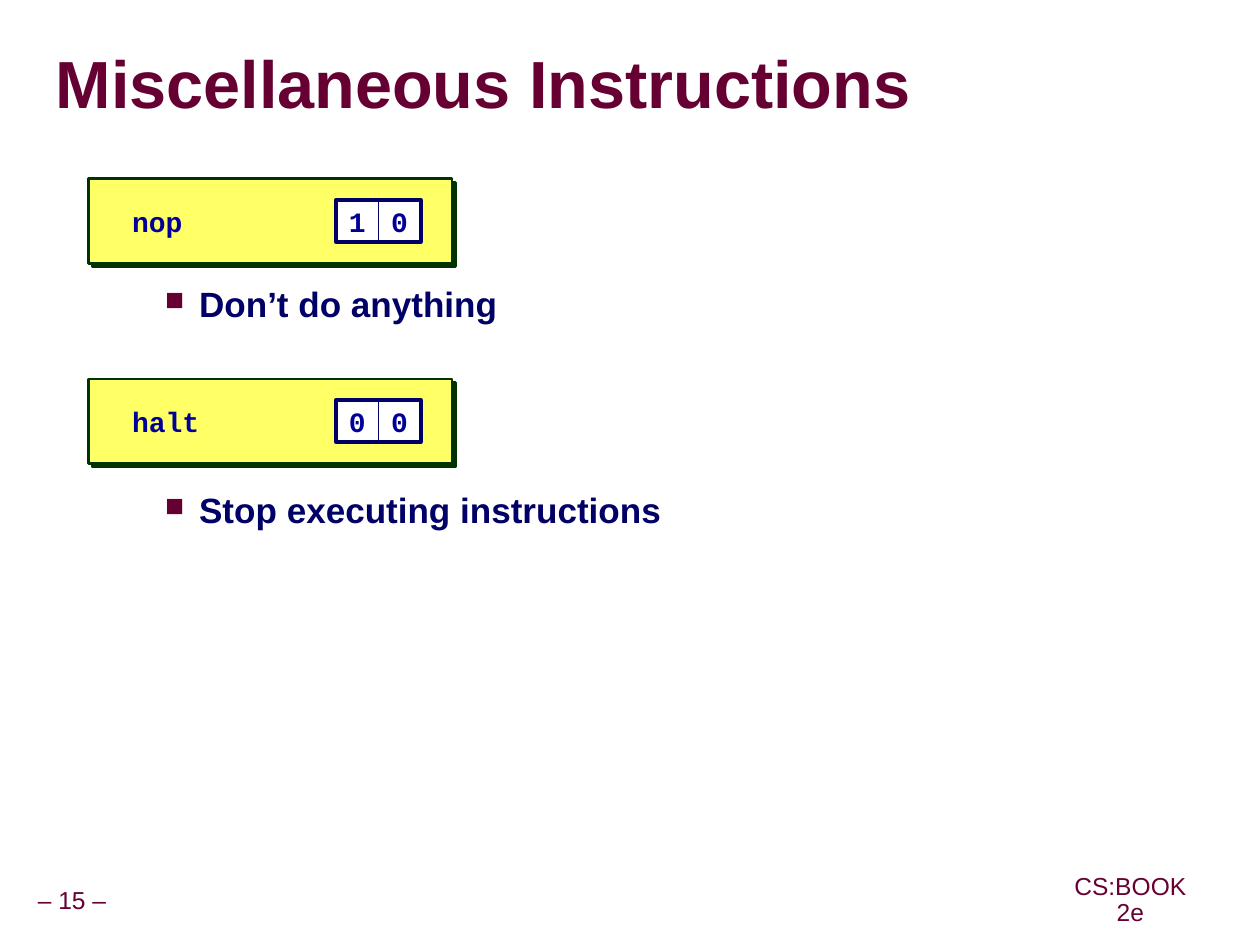
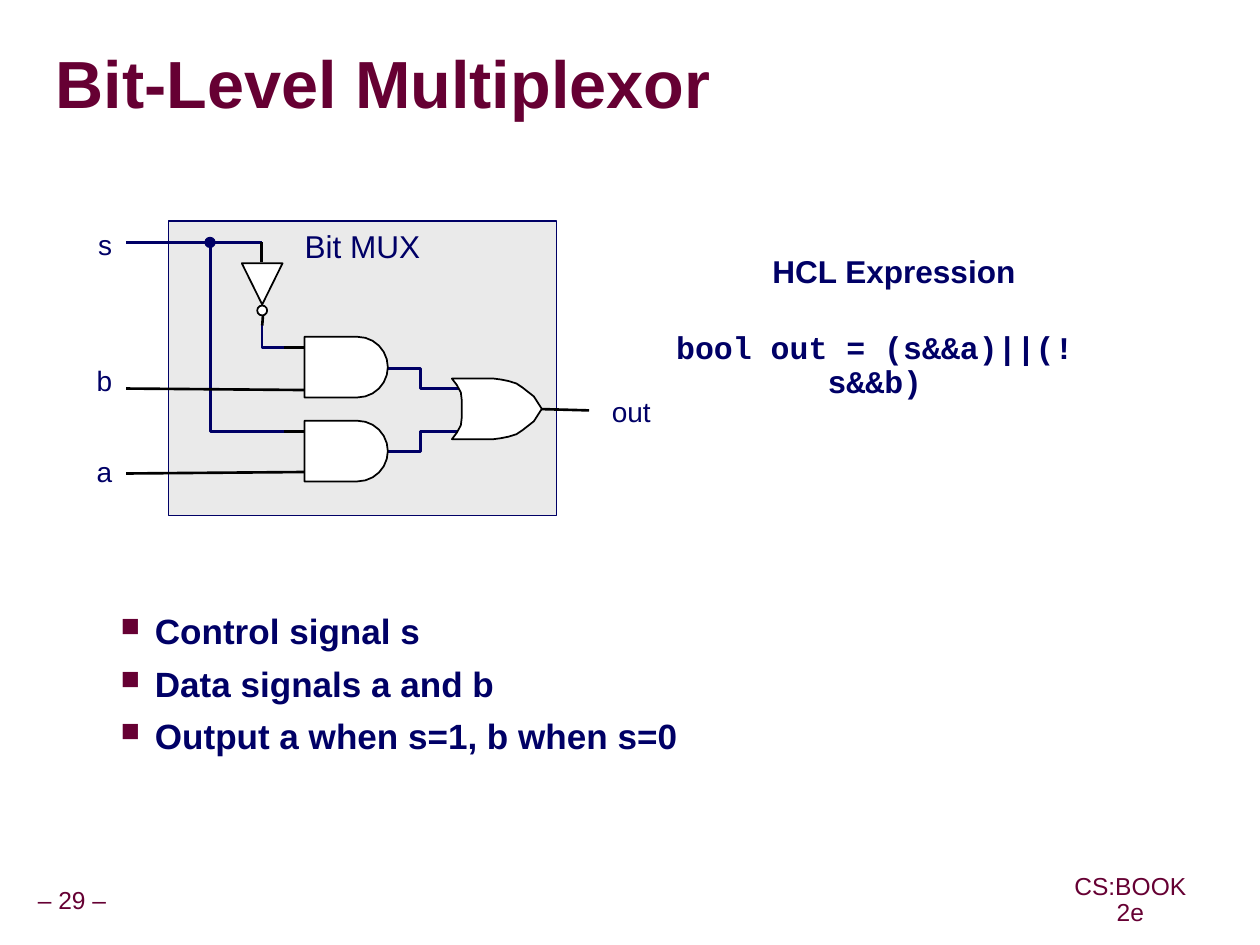
"""Build two lecture slides: miscellaneous instructions and a bit-level multiplexor."""
import math

import pptx
import pptx.dml.color
import pptx.enum.shapes
import pptx.enum.text
import pptx.oxml
import pptx.oxml.ns
import pptx.util

Cm, Pt = pptx.util.Cm, pptx.util.Pt
SHAPE = pptx.enum.shapes.MSO_SHAPE
ALIGN = pptx.enum.text.PP_ALIGN
ANCHOR = pptx.enum.text.MSO_ANCHOR

MAROON, NAVY, CODE_BLUE = "660033", "000066", "000099"
GREEN, YELLOW, GREY = "003300", "FFFF66", "EAEAEA"
BLACK, WHITE = "000000", "FFFFFF"
SANS, MONO = "Arial", "Courier New"

FOOTER = "CS:BOOK2e"
INSTRUCTIONS = {
    "title": "Miscellaneous Instructions", "page": 15,
    "body_at": (1.7, 5.57, 21.4, 4.2),
    "bullets": [("Don’t do anything", 0), ("Stop executing instructions", 93.5)],
    "codes": [("nop", "10"), ("halt", "00")],
}
MUX = {
    "title": "Bit-Level Multiplexor", "page": 29,
    "body_at": (0.81, 12.14, 23, 5),
    "bullets": [("Control signal s", 0), ("Data signals a and b", 6),
                ("Output a when s=1, b when s=0", 6)],
    "signals": [("s", 1.7, 4.45), ("b", 1.7, 7.19), ("a", 1.7, 9.02), ("out", 12.07, 7.82)],
    "hcl": [("HCL Expression", SANS, (15.42, 5.03, 5.16, 0.94)),
            ("bool out = (s&&a)||(!s&&b)", MONO, (13.44, 6.55, 8.35, 1.6))],
}
WIRES = {
    NAVY: [
        [(7.82, 7.42), (8.47, 7.42), (8.47, 7.82), (9.32, 7.82)],
        [(7.82, 9.09), (8.47, 9.09), (8.47, 8.69), (9.32, 8.69)],
        [(5.72, 8.69), (4.24, 8.69), (4.24, 4.88)],
        [(5.72, 6.99), (5.28, 6.99), (5.28, 6.55)],
        [(2.54, 4.88), (5.28, 4.88)],
    ],
    BLACK: [
        [(10.77, 8.23), (11.86, 8.26)],
        [(5.31, 6.15), (5.28, 6.55)],
        [(5.26, 4.88), (5.26, 5.28)],
        [(5.72, 6.99), (6.12, 6.99)],
        [(2.54, 7.82), (6.12, 7.85)],
        [(5.72, 8.69), (6.12, 8.69)],
        [(2.54, 9.53), (6.12, 9.5)],
    ],
}
AND_GATES = [(6.13, 7.39), (6.13, 9.08)]
OR_GATE = (9.1, 8.23)
GATE_RADIUS, AND_FLAT = 0.61, 1.07
OR_FRONT = [(0, -0.61), (0.84, -0.61), (0.99, -0.59), (1.14, -0.56),
            (1.3, -0.51), (1.42, -0.43), (1.65, -0.25), (1.81, 0)]
OR_BACK = [(0.1, 0.48), (0.18, 0.33), (0.2, 0.17), (0.2, 0)]


def rgb(code):
    return pptx.dml.color.RGBColor.from_string(code)


def xml(parent, markup):
    head, tail = markup.split(" ", 1) if " " in markup.split(">")[0] else (markup[:-2], "/>")
    space = pptx.oxml.ns.nsdecls("a")
    parent.append(pptx.oxml.parse_xml(f"{head} {space} {tail}"))


def shadow(parent, color, distance):
    xml(parent, f'<a:effectLst ><a:outerShdw dist="{Pt(distance)}" dir="2700000" algn="ctr" '
                f'rotWithShape="0"><a:srgbClr val="{color}"/></a:outerShdw></a:effectLst>')


def paint(shape, fill=None, line=None, width=1):
    shape.shadow.inherit = False
    if fill:
        shape.fill.solid()
        shape.fill.fore_color.rgb = rgb(fill)
    else:
        shape.fill.background()
    if line:
        shape.line.color.rgb = rgb(line)
        shape.line.width = Pt(width)
    else:
        shape.line.fill.background()
    return shape


def block(slide, kind, at, fill=None, line=None, width=1):
    return paint(slide.shapes.add_shape(kind, *map(Cm, at)), fill, line, width)


def write(paragraph, text, size, color, font=SANS, bold=False):
    run = paragraph.add_run()
    run.text = text
    run.font.size, run.font.name, run.font.bold = Pt(size), font, bold
    run.font.color.rgb = rgb(color)
    return run


def setup(shape, align=ALIGN.LEFT, anchor=ANCHOR.TOP, wrap=False, inset=None, spacing=None):
    frame = shape.text_frame
    frame.word_wrap, frame.vertical_anchor = wrap, anchor
    if inset is not None:
        frame.margin_left = frame.margin_right = Cm(inset)
        frame.margin_top = frame.margin_bottom = Cm(inset)
    paragraph = frame.paragraphs[0]
    paragraph.alignment = align
    if spacing:
        paragraph.line_spacing = spacing
    return paragraph


def label(slide, at, **layout):
    return setup(slide.shapes.add_textbox(*map(Cm, at)), **layout)


def start_slide(deck, content):
    slide = deck.slides.add_slide(deck.slide_layouts[6])
    for text, at in ((f"– {content['page']} –", (0.61, 17.75, 1.68, 0.79)),
                     (FOOTER, (21.44, 17.73, 2.64, 0.79))):
        footer = label(slide, at, align=ALIGN.CENTER, anchor=ANCHOR.MIDDLE,
                       inset=0.13, spacing=0.9)
        write(footer, text, 14, MAROON)
    heading = label(slide, (1.12, 0.69, 24.18, 2.16), anchor=ANCHOR.MIDDLE,
                    wrap=True, inset=0, spacing=0.87)
    title = write(heading, content["title"], 38, MAROON, bold=True)
    properties = title.font._element
    shadow(properties, "969696", 3)
    properties.insert(1, properties[-1])

    first = label(slide, content["body_at"], wrap=True)
    body = slide.shapes[-1].text_frame
    for number, (text, gap) in enumerate(content["bullets"]):
        item = body.add_paragraph() if number else first
        item.space_before = Pt(gap)
        layout = item._p.get_or_add_pPr()
        layout.set("marL", str(Cm(2.06)))
        layout.set("indent", str(Cm(-0.69)))
        xml(layout, f'<a:buClr ><a:srgbClr val="{MAROON}"/></a:buClr>')
        xml(layout, '<a:buSzPct val="75000"/>')
        xml(layout, '<a:buChar char="■"/>')
        write(item, text, 20, NAVY, bold=True)
    return slide


def draw_instruction(slide, top, name, digits):
    band = block(slide, SHAPE.RECTANGLE, (1.78, top, 7.32, 1.7), YELLOW, GREEN, 1.5)
    properties = band._element.spPr
    properties.remove(properties[-1])
    shadow(properties, GREEN, 2.8)
    side, left, cell_top = 0.85, 6.77, top + 0.42
    mnemonic = label(slide, (2.41, cell_top, 5.28, side), anchor=ANCHOR.MIDDLE)
    write(mnemonic, name, 16, CODE_BLUE, MONO, True)
    for column, digit in enumerate(digits):
        cell = block(slide, SHAPE.RECTANGLE, (left + column * side, cell_top, side, side),
                     WHITE, NAVY, 0.5)
        write(setup(cell, ALIGN.CENTER, ANCHOR.MIDDLE), digit, 16, CODE_BLUE, MONO, True)
    block(slide, SHAPE.RECTANGLE, (left, cell_top, side * len(digits), side), None, NAVY, 2.25)


def outline(slide, points, closed):
    (x, y), *rest = [(Cm(x), Cm(y)) for x, y in points]
    builder = slide.shapes.build_freeform(x, y)
    builder.add_line_segments(rest, close=closed)
    return builder.convert_to_shape()


def draw_wire(slide, points, color):
    if len(points) > 2:
        paint(outline(slide, points, False), None, color, 1.5)
        return
    ends = [Cm(value) for point in points for value in point]
    wire = slide.shapes.add_connector(pptx.enum.shapes.MSO_CONNECTOR.STRAIGHT, *ends)
    wire.line.color.rgb, wire.line.width = rgb(color), Pt(1.5)
    xml(wire._element.spPr, "<a:effectLst/>")


def draw_gate(slide, origin, profile):
    left, middle = origin
    points = [(left + x, middle + y) for x, y in profile]
    paint(outline(slide, points, True), WHITE, BLACK, 1)


def mirrored(half):
    return half + [(x, -y) for x, y in half[-2::-1]]


deck = pptx.Presentation()
deck.slide_width, deck.slide_height = Cm(25.37), Cm(19.02)

instructions = start_slide(deck, INSTRUCTIONS)
for row, (name, digits) in enumerate(INSTRUCTIONS["codes"]):
    draw_instruction(instructions, 3.6 + row * 4.03, name, digits)

mux = start_slide(deck, MUX)
chip = block(mux, SHAPE.RECTANGLE, (3.39, 4.45, 7.82, 5.93), GREY, NAVY, 0.75)
write(setup(chip, ALIGN.CENTER), "Bit MUX", 18, NAVY)
for color, wires in WIRES.items():
    for points in wires:
        draw_wire(mux, points, color)
and_profile = [(0, -GATE_RADIUS)]
for step in range(13):
    angle = math.pi * (step / 12 - 0.5)
    and_profile.append((AND_FLAT + GATE_RADIUS * math.cos(angle), GATE_RADIUS * math.sin(angle)))
and_profile.append((0, GATE_RADIUS))
for origin in AND_GATES:
    draw_gate(mux, origin, and_profile)
draw_gate(mux, OR_GATE, mirrored(OR_FRONT) + mirrored(OR_BACK))
block(mux, SHAPE.FLOWCHART_MERGE, (4.87, 5.3, 0.82, 0.83), WHITE, BLACK)
block(mux, SHAPE.OVAL, (5.18, 6.15, 0.2, 0.2), WHITE, BLACK)
block(mux, SHAPE.OVAL, (4.13, 4.78, 0.2, 0.2), NAVY, NAVY, 0.75)
for signal, left, top in MUX["signals"]:
    is_input = left < 3
    tag = label(mux, (left, top, 0.81 if is_input else 1.68, 0.94),
                align=ALIGN.RIGHT if is_input else ALIGN.LEFT)
    write(tag, signal, 16, NAVY)
for text, font, at in MUX["hcl"]:
    expression = label(mux, at, align=ALIGN.CENTER, wrap=True, inset=0.13, spacing=0.9)
    write(expression, text, 18, NAVY, font, True)

deck.save("out.pptx")
